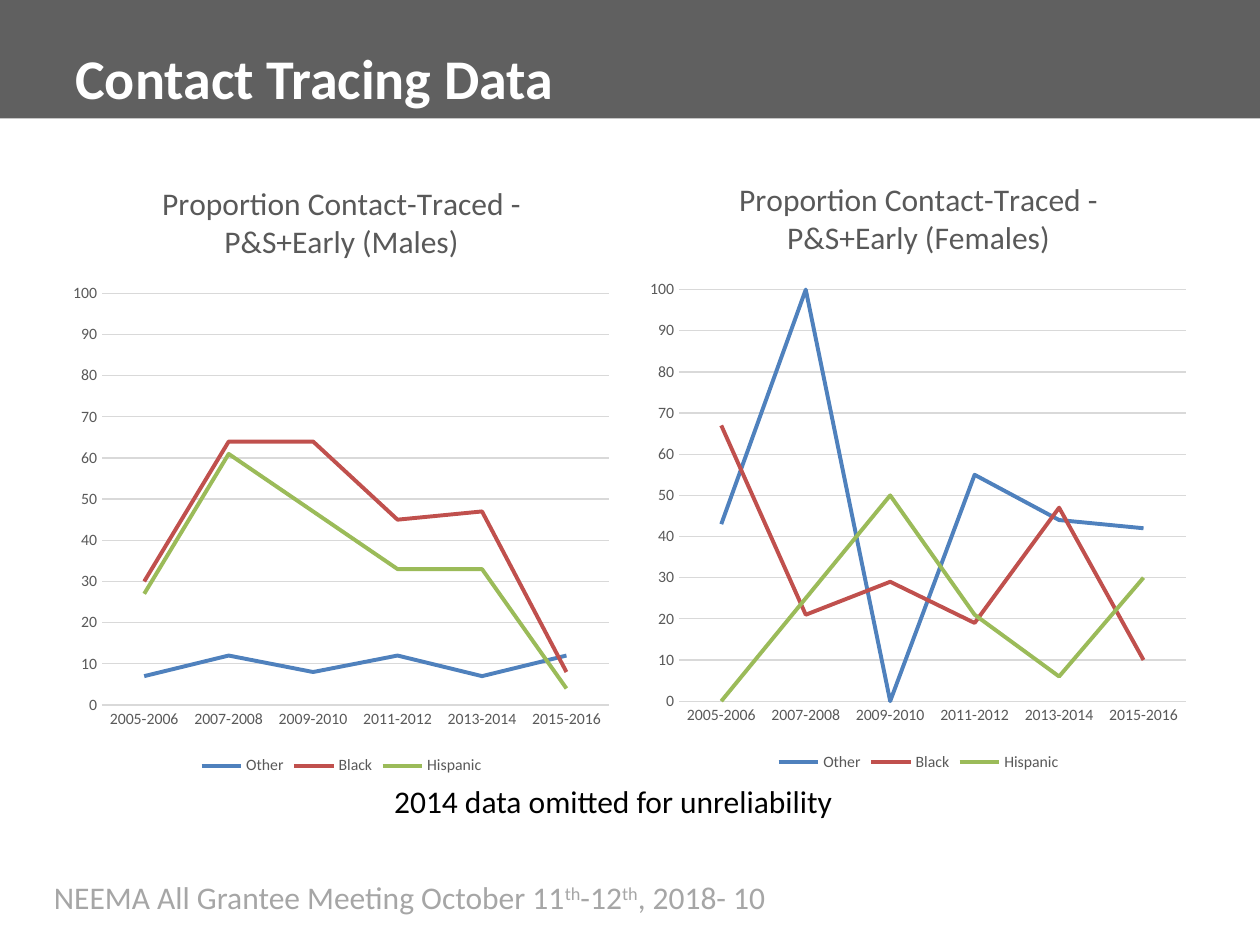
from lxml import etree
from pptx import Presentation, util as u
from pptx.chart.data import CategoryChartData
from pptx.dml.color import RGBColor
from pptx.enum import chart as ce, shapes, text
from pptx.oxml.ns import qn

WIDE, HIGH = u.Inches(10), u.Inches(7.5)
FONT = "Calibri"
HUES = {
    "band": "606060", "white": "FFFFFF", "black": "000000", "foot": "A6A6A6",
    "label": "595959", "grid": "D9D9D9",
    "Other": "4F81BD", "Black": "C0504D", "Hispanic": "9BBB59",
}
YEARS = [f"{y}-{y + 1}" for y in range(2005, 2016, 2)]
MALES = {
    "Other": (7, 12, 8, 12, 7, 12),
    "Black": (30, 64, 64, 45, 47, 8),
    "Hispanic": (27, 61, 47, 33, 33, 4),
}
FEMALES = {
    "Other": (43, 100, 0, 55, 44, 42),
    "Black": (67, 21, 29, 19, 47, 10),
    "Hispanic": (0, 25, 50, 21, 6, 30),
}
PLOT = {"x": 0.07, "y": 0.22, "w": 0.91, "h": 0.66}


def put(item, **vals):
    """Set each named attribute on an object."""
    for name, val in vals.items():
        setattr(item, name, val)


def rgb(hue):
    """Return the colour stored under a name."""
    return RGBColor.from_string(HUES[hue])


def area(x, y, w, h):
    """Turn percentages of the slide into a position and size."""
    return [int(side * part / 100)
            for side, part in zip((WIDE, HIGH, WIDE, HIGH), (x, y, w, h))]


def style(font, size, hue, bold=False):
    """Give a font its face, size, weight and colour."""
    put(font, name=FONT, size=u.Pt(size), bold=bold)
    font.color.rgb = rgb(hue)


def stroke(line, hue, width):
    """Colour a line and set its width in points."""
    line.color.rgb = rgb(hue)
    line.width = u.Pt(width)


def band(slide, box):
    """Draw the header band."""
    bar = slide.shapes.add_shape(shapes.MSO_SHAPE.RECTANGLE, *area(*box))
    bar.shadow.inherit = False
    bar.fill.solid()
    bar.fill.fore_color.rgb = rgb("band")
    bar.line.fill.background()


def write(slide, box, parts, size, hue, bold=False, **frame):
    """Add a line of text in which every second part is raised."""
    body = slide.shapes.add_textbox(*area(*box)).text_frame
    put(body, **frame)
    for i, part in enumerate(parts):
        run = body.paragraphs[0].add_run()
        run.text = part
        style(run.font, size, hue, bold)
        if i % 2:
            run.font._element.set("baseline", "30000")


def place(chart):
    """Fix the inner plot area as shares of the chart."""
    plot = chart._chartSpace.chart.plotArea
    for old in plot.findall(qn("c:layout")):
        plot.remove(old)
    lay = etree.Element(qn("c:layout"))
    spot = etree.SubElement(lay, qn("c:manualLayout"))
    marks = {"layoutTarget": "inner", "xMode": "edge", "yMode": "edge", **PLOT}
    for tag, val in marks.items():
        etree.SubElement(spot, qn(f"c:{tag}")).set("val", str(val))
    plot.insert(0, lay)


def trend(slide, box, group, rows):
    """Add a line chart for one group."""
    data = CategoryChartData()
    data.categories = YEARS
    for name, vals in rows.items():
        data.add_series(name, vals)
    chart = slide.shapes.add_chart(
        ce.XL_CHART_TYPE.LINE, *area(*box), data).chart
    style(chart.font, 10, "black")
    put(chart, has_title=True, has_legend=True)
    head = chart.chart_title.text_frame
    head.text = f"Proportion Contact-Traced - P&S+Early ({group})"
    style(head.paragraphs[0].runs[0].font, 18, "label")
    put(chart.legend, position=ce.XL_LEGEND_POSITION.BOTTOM,
        include_in_layout=False)
    style(chart.legend.font, 9, "label")
    cat, val = chart.category_axis, chart.value_axis
    for axis in (cat, val):
        put(axis, major_tick_mark=ce.XL_TICK_MARK.NONE,
            minor_tick_mark=ce.XL_TICK_MARK.NONE)
        style(axis.tick_labels.font, 9, "label")
    put(val, minimum_scale=0, maximum_scale=100, major_unit=10,
        has_major_gridlines=True)
    stroke(cat.format.line, "grid", 0.75)
    stroke(val.major_gridlines.format.line, "grid", 0.75)
    val.format.line.fill.background()
    chart.plots[0].vary_by_categories = False
    for line in chart.plots[0].series:
        line.smooth = False
        line.marker.style = ce.XL_MARKER_STYLE.NONE
        stroke(line.format.line, line.name, 2.25)
    place(chart)


def main():
    """Build and save the slide."""
    deck = Presentation()
    put(deck, slide_width=WIDE, slide_height=HIGH)
    slide = deck.slides.add_slide(deck.slide_layouts[6])
    band(slide, (0, 0, 100, 12.53))
    write(slide, (3.3, 92.27, 60.6, 5.33),
          ("NEEMA All Grantee Meeting October 11", "th", "-12", "th",
           ", 2018- 10"), 18, "foot", word_wrap=False)
    write(slide, (5, -0.13, 90, 16.67), ("Contact Tracing Data",), 32,
          "white", True, word_wrap=True,
          vertical_anchor=text.MSO_ANCHOR.MIDDLE)
    trend(slide, (5, 16.53, 44.2, 66), "Males", MALES)
    trend(slide, (50.8, 16.13, 44.2, 66), "Females", FEMALES)
    write(slide, (30.3, 82.13, 65, 5.33),
          ("2014 data omitted for unreliability",), 18, "black",
          word_wrap=True)
    deck.save("out.pptx")


if __name__ == "__main__":
    main()
